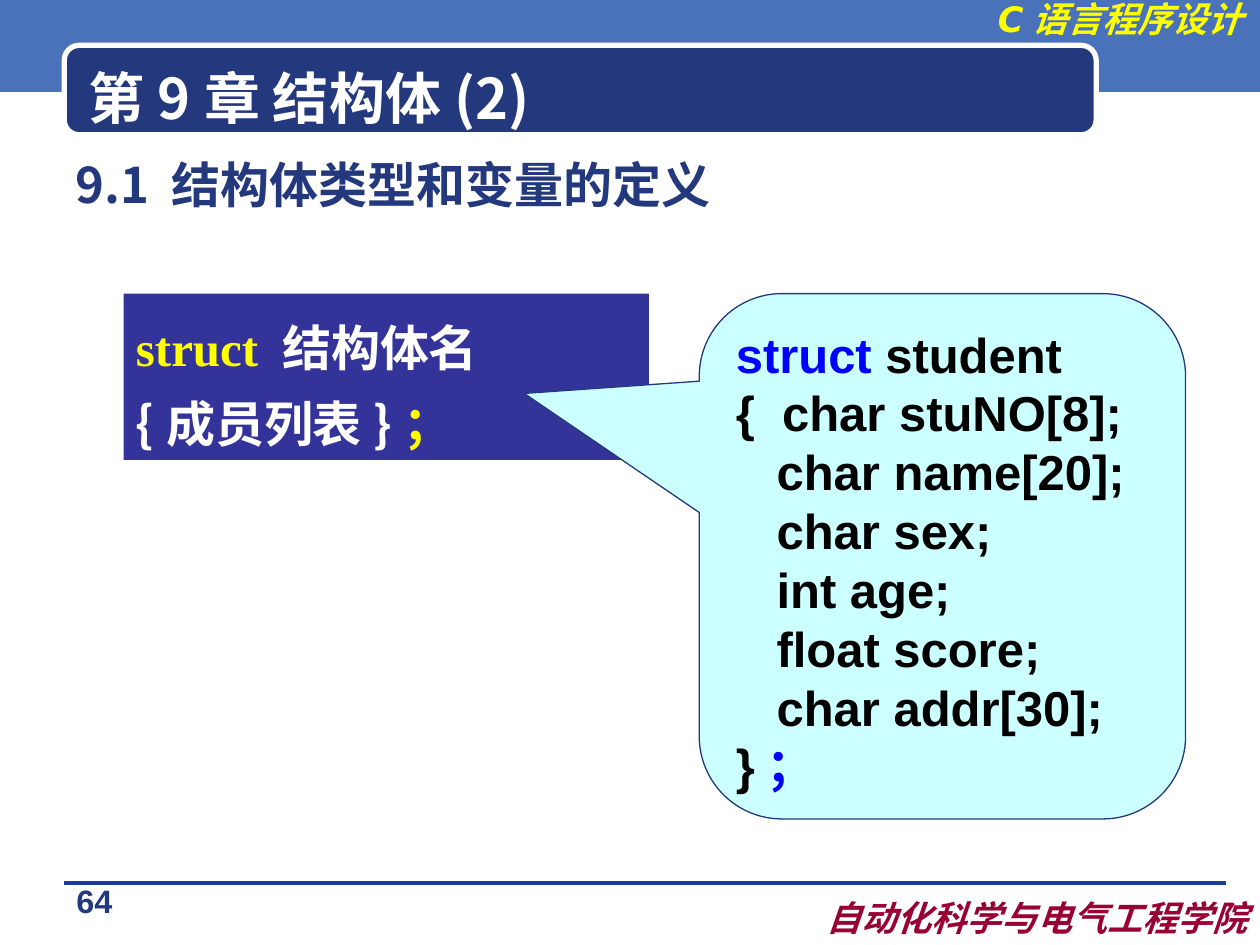
import pptx
import pptx.util
import pptx.dml.color
import pptx.enum.shapes
import pptx.enum.text
import pptx.oxml
import pptx.oxml.ns

Pt = pptx.util.Pt
RGB = pptx.dml.color.RGBColor
Kind = pptx.enum.shapes.MSO_SHAPE
Align = pptx.enum.text.PP_ALIGN
Anchor = pptx.enum.text.MSO_ANCHOR

WHITE = RGB(0xFF, 0xFF, 0xFF)
BLACK = RGB(0, 0, 0)
BLUE = RGB(0, 0, 0xFF)
YELLOW = RGB(0xFF, 0xFF, 0)
NAVY = RGB(0x23, 0x38, 0x7D)
BAND = RGB(0x49, 0x72, 0xBB)
RULE = RGB(0x1A, 0x3D, 0x97)
WINE = RGB(0x99, 0, 0x33)
INDIGO = RGB(0x33, 0x33, 0x99)
CYAN = RGB(0xCC, 0xFF, 0xFF)
HAN = "Noto Sans CJK SC"


def add_block(kind, place, fill, line=None, width=0):
    shape = slide.shapes.add_shape(kind, *map(Pt, place))
    shape.shadow.inherit = False
    shape.fill.solid()
    shape.fill.fore_color.rgb = fill
    if line is None:
        shape.line.fill.background()
    else:
        shape.line.color.rgb = line
        shape.line.width = Pt(width)
    return shape


def write(shape, lines, size, align=Align.LEFT, anchor=Anchor.TOP, space=1.0, italic=False):
    frame = shape.text_frame
    frame.word_wrap = True
    frame.auto_size = pptx.enum.text.MSO_AUTO_SIZE.NONE
    frame.vertical_anchor = anchor
    frame.margin_left = frame.margin_right = Pt(7.2)
    frame.margin_top = frame.margin_bottom = Pt(3.6)
    for i, line in enumerate(lines):
        para = frame.add_paragraph() if i else frame.paragraphs[0]
        para.alignment = align
        para.line_spacing = space
        para.space_before = Pt(0)
        for text, face, color in line:
            run = para.add_run()
            run.text = text
            font = run.font
            font.size = Pt(size)
            font.bold = True
            font.italic = italic
            font.color.rgb = color
            font.name = face
            east = pptx.oxml.parse_xml(
                f'<a:ea {pptx.oxml.ns.nsdecls("a")} typeface="{face}"/>')
            run._r.rPr.find(pptx.oxml.ns.qn("a:latin")).addnext(east)


deck = pptx.Presentation()
deck.slide_width = Pt(720)
deck.slide_height = Pt(540)
slide = deck.slides.add_slide(deck.slide_layouts[5])

add_block(Kind.RECTANGLE, (0, -2.2, 720, 54.7), BAND)
rule = slide.shapes.add_connector(
    pptx.enum.shapes.MSO_CONNECTOR.STRAIGHT, Pt(36.7), Pt(504.7), Pt(700.6), Pt(504.7))
rule.line.color.rgb = RULE
rule.line.width = Pt(0)
rule._element.spPr.append(
    pptx.oxml.parse_xml(f'<a:effectLst {pptx.oxml.ns.nsdecls("a")}/>'))
add_block(Kind.ROUNDED_RECTANGLE, (36.7, 25.9, 589.7, 51.1), NAVY, WHITE, 3)

title = slide.shapes.title
title.left, title.top, title.width, title.height = map(Pt, (43.2, 33.1, 563.8, 44.6))
slide.shapes.element.append(title.element)
write(title, [[("第9章 结构体(2)", HAN, WHITE)]], 32, anchor=Anchor.MIDDLE)

labels = [
    ("C语言程序设计", (535.7, -5, 181.4, 31.7), 20, "DejaVu Sans", YELLOW, Align.RIGHT, 1, True),
    ("自动化科学与电气工程学院", (429.1, 509, 290.9, 31.7), 20, "DejaVu Sans", WINE,
     Align.RIGHT, 1, True),
    ("64", (14.4, 502.6, 79.2, 31), 18.5, "Arial", NAVY, Align.CENTER, 0.9, False),
    ("9.1 结构体类型和变量的定义", (36, 85, 648, 413.3), 28, HAN, NAVY, Align.LEFT, 1, False),
]
for text, place, size, face, color, align, space, italic in labels:
    box = slide.shapes.add_textbox(*map(Pt, place))
    write(box, [[(text, face, color)]], size, align, space=float(space), italic=italic)

syntax = add_block(Kind.RECTANGLE, (70.6, 167.8, 300.2, 95), INDIGO)
write(syntax, [
    [("struct ", "Times New Roman", YELLOW), ("结构体名", HAN, WHITE)],
    [("{成员列表}", HAN, WHITE), ("；", HAN, YELLOW)],
], 28, space=1.3)

sample = add_block(
    Kind.ROUNDED_RECTANGULAR_CALLOUT, (399.6, 167.8, 277.9, 300.2), CYAN, NAVY, 0.75)
sample.adjustments[0] = -0.86
sample.adjustments[1] = -0.31
sample.adjustments[2] = 0.17
fields = ["{  char stuNO[8];", "   char name[20];", "   char sex;",
          "   int age;", "   float score;", "   char addr[30];"]
write(sample, [
    [("struct ", "Arial", BLUE), ("student", "Arial", BLACK)],
    *[[(field, "Arial", BLACK)] for field in fields],
    [("}", "Arial", BLACK), ("；", "Arial", BLUE)],
], 28)

deck.save("out.pptx")
